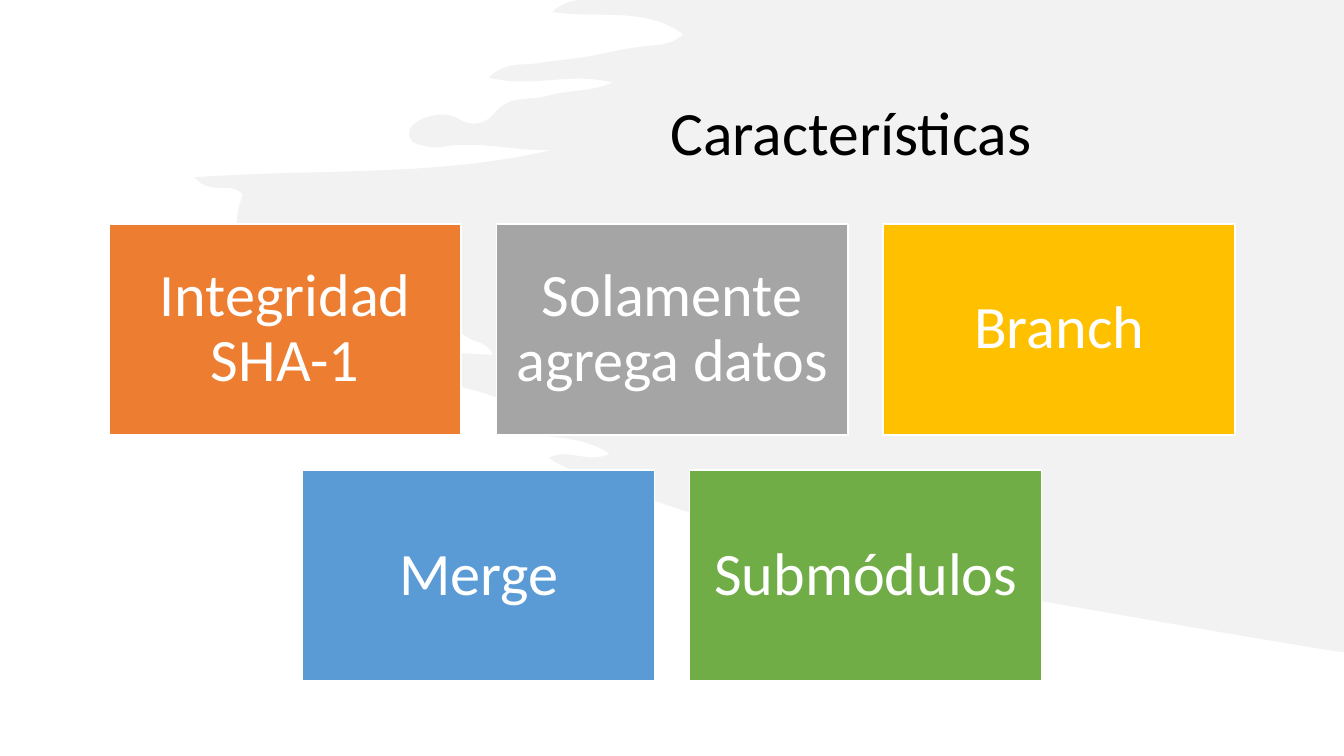
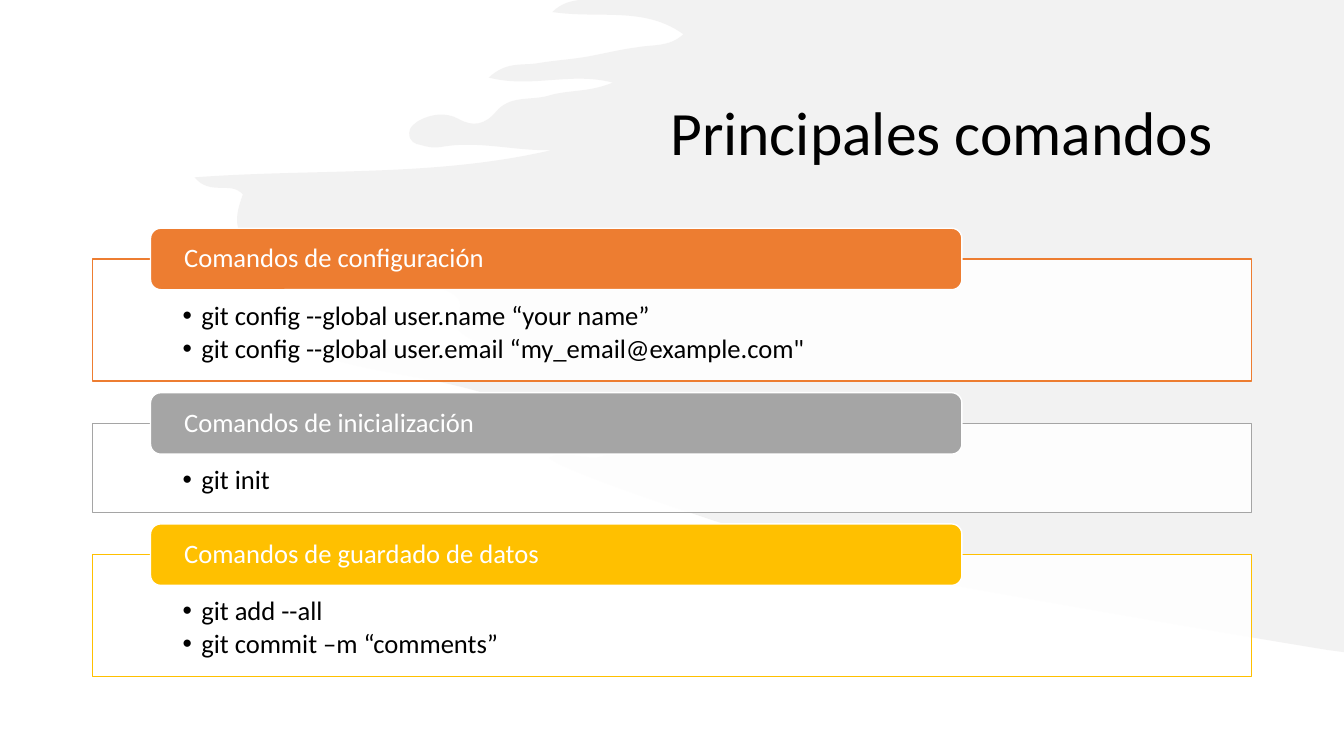
from collections import namedtuple

from lxml import etree
from pptx import Presentation
from pptx import util as u
from pptx.dml.color import RGBColor
from pptx.enum import shapes, text
from pptx.oxml.ns import qn

Pt = u.Pt
Box = namedtuple("Box", "left top width height")

COLORS = {
    "black": "000000", "white": "FFFFFF", "brush": "E7E6E6",
    "orange": "ED7D31", "gray": "A5A5A5", "gold": "FFC000",
    "blue": "5B9BD5", "green": "70AD47",
}
FONT = "Calibri"
TITLE_BOX = Box(471.6, 22.3, 422, 149)
CONTENT_BOX = Box(66.1, 160, 828, 326.4)

# Brush outline in units of 0.72 pt: the right edge, then one cubic curve
# (two control points and an end point) a tuple.
BRUSH_UNIT = 0.72
BRUSH_TOP_RIGHT, BRUSH_BOTTOM_RIGHT = (1333.33, 0), (1333.33, 647)
BRUSH_START = (575, 0)
BRUSH_CURVES = [
    (567, 1, 557, 3, 548, 12), (595, 19, 639, 6, 678, 34),
    (664, 47, 648, 44, 632, 47), (616, 49, 600, 53, 584, 56),
    (567, 59, 549, 60, 532, 63), (518, 65, 502, 61, 485, 77),
    (527, 88, 566, 71, 608, 82), (584, 92, 563, 89, 544, 95),
    (527, 100, 506, 94, 492, 111), (481, 124, 469, 126, 455, 118),
    (442, 111, 428, 113, 415, 120), (411, 123, 406, 126, 406, 132),
    (406, 141, 412, 143, 418, 144), (424, 146, 431, 147, 437, 146),
    (474, 139, 510, 150, 547, 149), (431, 176, 314, 167, 193, 176),
    (209, 195, 229, 179, 241, 193), (230, 222, 234, 237, 258, 239),
    (280, 241, 304, 231, 316, 265), (320, 276, 341, 273, 355, 275),
    (384, 279, 414, 275, 442, 288), (453, 293, 460, 297, 455, 311),
    (449, 325, 456, 330, 466, 336), (473, 340, 483, 339, 489, 352),
    (428, 350, 369, 340, 309, 350), (375, 374, 447, 373, 512, 402),
    (510, 412, 495, 407, 494, 422), (528, 438, 569, 427, 605, 450),
    (584, 461, 565, 444, 545, 454), (552, 469, 840, 561, 892, 571),
    (978, 587, 1195, 625, 1318, 645),
]

FEATURES = [
    [("Integridad SHA-1", "orange"), ("Solamente agrega datos", "gray"), ("Branch", "gold")],
    [("Merge", "blue"), ("Submódulos", "green")],
]
COMMANDS = [
    ("Comandos de configuración", "orange",
     ["git config --global user.name “your name”",
      "git config --global user.email “my_email@example.com\""]),
    ("Comandos de inicialización", "gray", ["git init"]),
    ("Comandos de guardado de datos", "gold",
     ["git add --all", "git commit –m “comments”"]),
]


def rgb(color):
    return RGBColor.from_string(COLORS[color])


def paint(shape, fill, line=None, opacity=100):
    shape.shadow.inherit = False
    shape.fill.solid()
    shape.fill.fore_color.rgb = rgb(fill)
    if opacity < 100:
        color = shape.fill._xPr.find(qn("a:solidFill"))[0]
        etree.SubElement(color, qn("a:alpha"), val=str(opacity * 1000))
    if line:
        shape.line.color.rgb = rgb(line)
        shape.line.width = Pt(1)
    else:
        shape.line.fill.background()


def write(shape, lines, size, color, align=text.PP_ALIGN.LEFT,
          anchor=text.MSO_ANCHOR.MIDDLE, margins=(7.2, 3.6, 7.2, 3.6), bullets=False):
    """Fill the shape with one paragraph a line; margins run left, top, right, bottom."""
    frame = shape.text_frame
    frame.word_wrap = True
    frame.auto_size = text.MSO_AUTO_SIZE.NONE
    frame.vertical_anchor = anchor
    frame.margin_left, frame.margin_top, frame.margin_right, frame.margin_bottom = map(Pt, margins)
    for index, line in enumerate(lines):
        para = frame.add_paragraph() if index else frame.paragraphs[0]
        para.text = line
        para.alignment = align
        para.line_spacing = 0.9
        if bullets:
            para.space_after = Pt(3)
            add_bullet(para, 13.5)
        para.font.name = FONT
        para.font.size = Pt(size)
        para.font.color.rgb = rgb(color)


def add_bullet(para, indent):
    props = para._p.get_or_add_pPr()
    props.set("marL", str(Pt(indent)))
    props.set("indent", str(-Pt(indent)))
    etree.SubElement(props, qn("a:buFont"), typeface="Arial")
    etree.SubElement(props, qn("a:buChar"), char="•")


def add_box(page, kind, box):
    return page.shapes.add_shape(kind, *map(Pt, box))


def brush_point(x, y):
    return Pt(x * BRUSH_UNIT), Pt(y * BRUSH_UNIT)


def bend(shape, segment, controls):
    """Turn a straight segment of the outline into a cubic curve."""
    end = segment[0]
    curve = etree.Element(qn("a:cubicBezTo"))
    for x, y in controls:
        etree.SubElement(curve, qn("a:pt"), x=str(x - shape.left), y=str(y - shape.top))
    curve.append(end)
    segment.getparent().replace(segment, curve)


def add_brush(page):
    ends = [curve[4:] for curve in BRUSH_CURVES]
    builder = page.shapes.build_freeform(*brush_point(*BRUSH_TOP_RIGHT))
    builder.add_line_segments(
        [brush_point(*point) for point in (BRUSH_START, *ends, BRUSH_BOTTOM_RIGHT)], close=True)
    brush = builder.convert_to_shape()
    segments = list(brush._element.iter(qn("a:lnTo")))[1:]
    for segment, curve in zip(segments, BRUSH_CURVES):
        bend(brush, segment, [brush_point(*curve[:2]), brush_point(*curve[2:4])])
    paint(brush, "brush", opacity=50)
    page.shapes._spTree.insert(2, brush._element)  # behind the title


def add_page(deck, heading):
    page = deck.slides.add_slide(deck.slide_layouts[5])
    add_brush(page)
    title = page.shapes.title
    title.left, title.top, title.width, title.height = map(Pt, TITLE_BOX)
    write(title, [heading], 44, "black")
    return page


def add_tiles(page, rows, box):
    """Rows of equal tiles, each row centred in the box."""
    width, gap = 251.3, 25.1
    height = (box.height - gap * (len(rows) - 1)) / len(rows)
    for row_index, row in enumerate(rows):
        row_width = len(row) * (width + gap) - gap
        left = box.left + (box.width - row_width) / 2
        top = box.top + row_index * (height + gap)
        for column, (label, color) in enumerate(row):
            tile = add_box(page, shapes.MSO_SHAPE.RECTANGLE,
                           Box(left + column * (width + gap), top, width, height))
            paint(tile, color, "white")
            write(tile, [label], 43, "white", text.PP_ALIGN.CENTER, margins=(13,) * 4)


def add_command_group(page, heading, color, commands, panel):
    """A framed command list with a header tab across its top edge."""
    tab_height = 43.9
    frame = add_box(page, shapes.MSO_SHAPE.RECTANGLE, panel)
    paint(frame, "white", color, opacity=90)
    write(frame, commands, 19, "black", anchor=text.MSO_ANCHOR.TOP,
          margins=(64.3, 31, 64.3, 10.8), bullets=True)
    tab = add_box(page, shapes.MSO_SHAPE.ROUNDED_RECTANGLE,
                  Box(panel.left + panel.width * 0.05, panel.top - tab_height / 2,
                      panel.width * 0.7, tab_height))
    paint(tab, color, "white")
    write(tab, [heading], 19, "white", margins=(21.9, 0, 21.9, 0))


def add_command_list(page, groups, box):
    """Command groups stacked and centred in the box."""
    overhang, gap = 21.95, 8.3
    heights = [39.8 + 23.7 * len(commands) for _, _, commands in groups]
    total = sum(heights) + len(groups) * (overhang + gap) - gap
    top = box.top + (box.height - total) / 2
    for (heading, color, commands), height in zip(groups, heights):
        top += overhang
        add_command_group(page, heading, color, commands,
                          Box(box.left, top, box.width, height))
        top += height + gap


def main():
    deck = Presentation()
    deck.slide_width, deck.slide_height = Pt(960), Pt(540)
    add_tiles(add_page(deck, "Características"), FEATURES, CONTENT_BOX)
    add_command_list(add_page(deck, "Principales comandos"), COMMANDS, CONTENT_BOX)
    deck.save("out.pptx")


if __name__ == "__main__":
    main()
